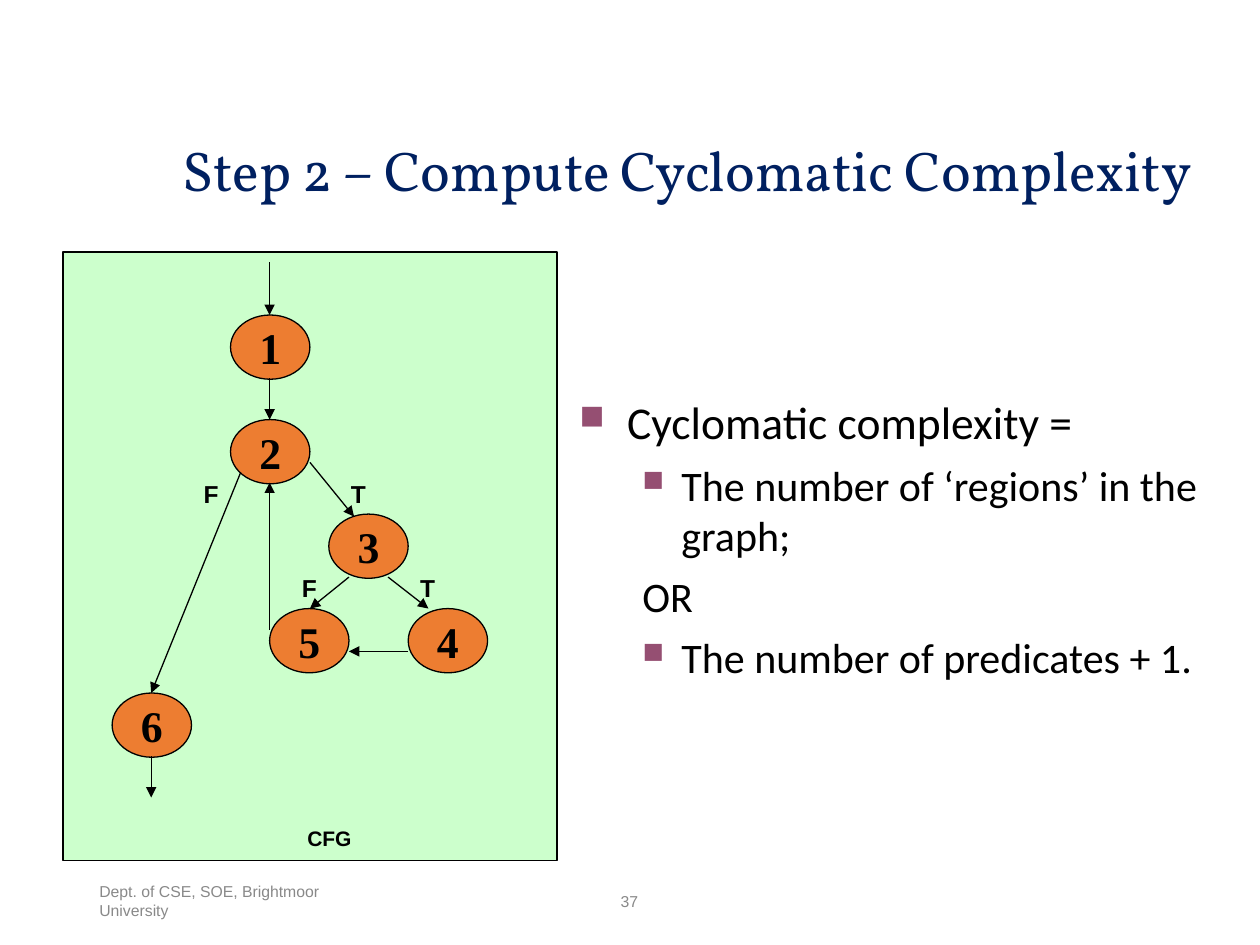
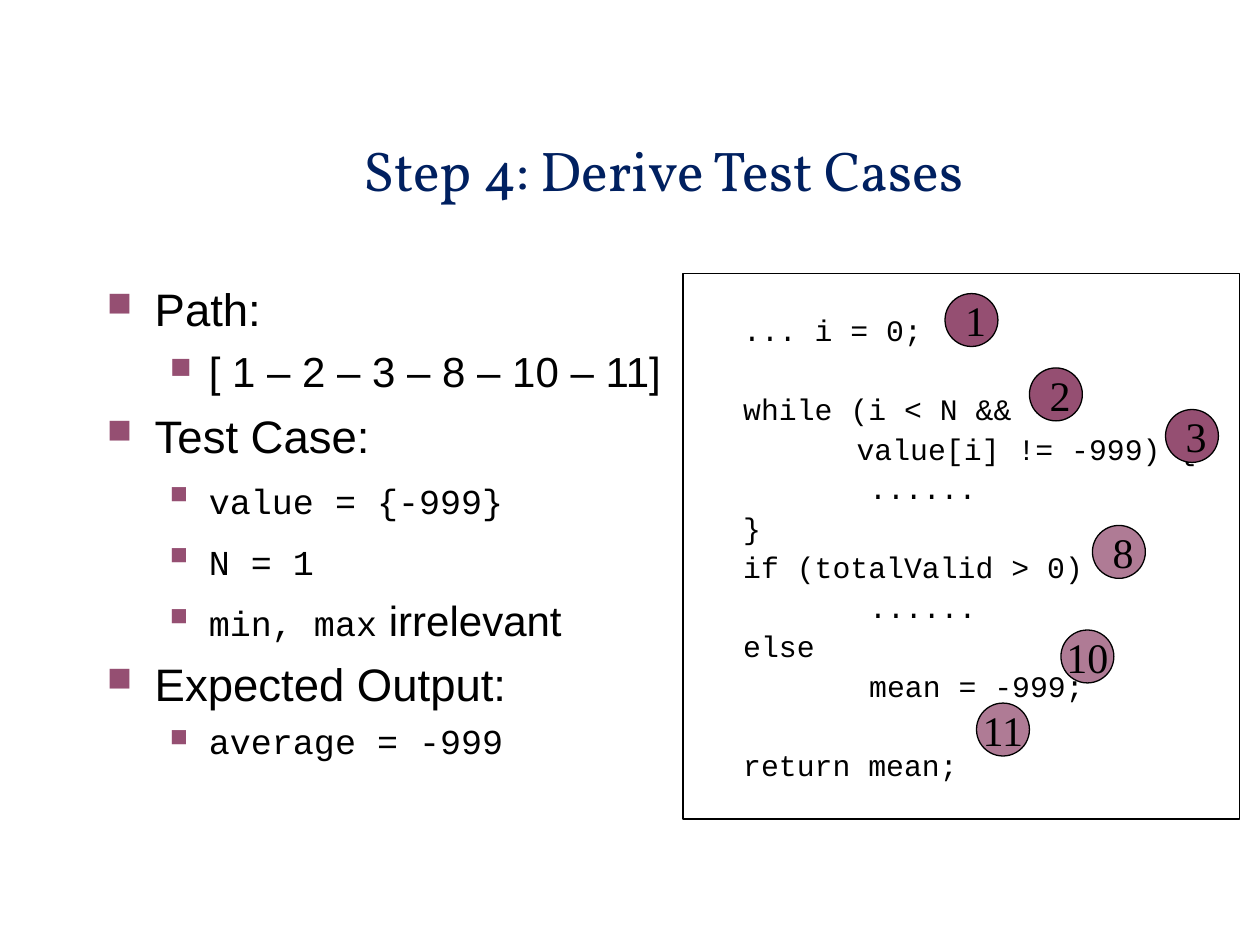
from lxml import etree
from pptx import Presentation
from pptx.dml.color import RGBColor
from pptx.enum import shapes, text
from pptx.oxml import ns
from pptx.util import Inches, Pt

COLOURS = {
    "title": "002060", "ink": "000000", "footer": "898989",
    "panel": "CCFFCC", "node": "ED7D31", "accent": "954F72",
}
CENTER = text.PP_ALIGN.CENTER
LEFT = text.PP_ALIGN.LEFT
MIDDLE = text.MSO_ANCHOR.MIDDLE
TOP = text.MSO_ANCHOR.TOP


def colour(name):
    return RGBColor.from_string(COLOURS[name])


def add_element(parent, tag, **attributes):
    return etree.SubElement(parent, ns.qn(tag), attributes)


def style_font(font, size, name, ink="ink", bold=False):
    font.size = Pt(size)
    font.name = name
    font.bold = bold
    font.color.rgb = colour(ink)


def set_frame(shape, anchor=TOP, insets=(0.1, 0.05), wrap=True):
    frame = shape.text_frame
    frame.word_wrap = wrap
    frame.vertical_anchor = anchor
    frame.margin_left = frame.margin_right = Inches(insets[0])
    frame.margin_top = frame.margin_bottom = Inches(insets[1])
    return frame


def set_indent(paragraph, margin, first_line=0):
    properties = paragraph._p.get_or_add_pPr()
    properties.set("marL", str(Inches(margin)))
    properties.set("indent", str(Inches(first_line)))
    return properties


def add_text(slide, box, words, size, font, ink="ink", bold=False,
             align=CENTER, anchor=TOP, insets=(0.1, 0.05)):
    shape = slide.shapes.add_textbox(*map(Inches, box))
    frame = set_frame(shape, anchor, insets)
    frame.text = words
    paragraph = frame.paragraphs[0]
    paragraph.alignment = align
    style_font(paragraph.runs[0].font, size, font, ink, bold)
    return paragraph


def add_panel(slide, kind, box, fill=None, width=0.75):
    shape = slide.shapes.add_shape(kind, *map(Inches, box))
    shape.shadow.inherit = False
    if fill:
        shape.fill.solid()
        shape.fill.fore_color.rgb = colour(fill)
    else:
        shape.fill.background()
    shape.line.color.rgb = colour("ink")
    shape.line.width = Pt(width)
    return shape


def add_circle(slide, box, label, fill, size, bold=False, align=CENTER):
    shape = add_panel(slide, shapes.MSO_SHAPE.OVAL, box, fill)
    frame = set_frame(shape, MIDDLE, wrap=False)
    frame.text = label
    paragraph = frame.paragraphs[0]
    paragraph.alignment = align
    style_font(paragraph.runs[0].font, size, "Times New Roman", bold=bold)
    return shape


def add_arrow(slide, start, end):
    arrow = slide.shapes.add_connector(
        shapes.MSO_CONNECTOR.STRAIGHT, *map(Inches, (*start, *end)))
    arrow.line.color.rgb = colour("ink")
    arrow.line.width = Pt(0.75)
    add_element(arrow.line._get_or_add_ln(), "a:tailEnd", type="triangle")
    add_element(arrow._element.spPr, "a:effectLst")


def add_title(slide, words, left, width):
    paragraph = add_text(slide, (left, 1.11, width, 0.6), words, 32, "Vollkorn",
                         "title", insets=(0.07, 0.03))
    paragraph.line_spacing = 0.9


def add_footer(slide, department, number):
    add_text(slide, (0.69, 6.95, 2.25, 0.4), department, 9, "Arial", "footer",
             align=LEFT, anchor=MIDDLE)
    add_text(slide, (3.31, 6.95, 3.37, 0.4), number, 9, "Arial", "footer",
             anchor=MIDDLE)


def add_bullet(paragraph, level, marked):
    margin, first_line, size = [(0.38, -0.38, 75), (0.81, -0.31, 70)][level]
    paragraph.level = level
    properties = set_indent(paragraph, margin, first_line)
    if not marked:
        add_element(properties, "a:buNone")
        return
    bullet_colour = add_element(properties, "a:buClr")
    add_element(bullet_colour, "a:srgbClr", val=COLOURS["accent"])
    add_element(properties, "a:buSzPct", val=str(size * 1000))
    add_element(properties, "a:buChar", char="■")


def add_bullets(slide, box, items, font):
    """Each item is a level, its runs as (words, is_code), and a bullet flag."""
    frame = set_frame(slide.shapes.add_textbox(*map(Inches, box)))
    for index, (level, runs, marked) in enumerate(items):
        paragraph = frame.add_paragraph() if index else frame.paragraphs[0]
        add_bullet(paragraph, level, marked)
        if index:
            all_code = all(is_code for _, is_code in runs)
            paragraph.space_before = Pt(5 if all_code else (6.5, 6)[level])
        for words, is_code in runs:
            run = paragraph.add_run()
            run.text = words
            if is_code:
                style_font(run.font, 20, "Courier New")
            else:
                style_font(run.font, (26, 24)[level], font)


def add_flow_graph(slide, left, top):
    def place(x, y):
        return left + x, top + y

    add_panel(slide, shapes.MSO_SHAPE.RECTANGLE, (left, top, 3.92, 4.83),
              "panel", 1)
    # Nodes
    nodes = {"1": (1.33, 0.5), "2": (1.33, 1.33), "3": (2.11, 2.08),
             "4": (2.74, 2.83), "5": (1.64, 2.83), "6": (0.39, 3.5)}
    for label, corner in nodes.items():
        add_circle(slide, (*place(*corner), 0.63, 0.51), label, "node", 25, True)
    # Edges
    edges = [
        ((1.64, 0.08), (1.64, 0.5)), ((1.64, 1), (1.64, 1.33)),
        ((1.96, 1.67), (2.31, 2.1)), ((2.27, 2.58), (1.96, 2.83)),
        ((2.58, 2.58), (2.9, 2.83)), ((1.41, 1.75), (0.7, 3.5)),
        ((0.7, 4), (0.7, 4.33)), ((2.74, 3.17), (2.27, 3.17)),
        ((1.64, 3), (1.64, 1.83)),
    ]
    for start, end in edges:
        add_arrow(slide, place(*start), place(*end))
    # Branch labels and caption
    branches = [("T", 2.11, 1.75), ("F", 0.94, 1.75),
                ("T", 2.66, 2.5), ("F", 1.72, 2.5)]
    for label, x, y in branches:
        add_text(slide, (*place(x, y), 0.47, 0.34), label, 14, "Arial", bold=True)
    add_text(slide, (*place(1.8, 4.5), 0.63, 0.3), "CFG", 12, "Arial", bold=True)


def add_code(slide, left, top):
    panel = add_panel(slide, shapes.MSO_SHAPE.RECTANGLE, (left, top, 4.42, 4.33))
    frame = set_frame(panel)
    frame.margin_top = Inches(0.34)
    # Indent, code, starts a new group after a gap
    lines = [
        (0.38, "... i = 0;", False),
        (0.38, "while (i < N &&", True),
        (1.28, "value[i] != -999) {", False),
        (1.38, "......", False),
        (0.38, "}", False),
        (0.38, "if (totalValid > 0)", False),
        (1.38, "......", False),
        (0.38, "else", False),
        (1.38, "mean = -999;", False),
        (0.38, "return mean;", True),
    ]
    for index, (margin, code, after_gap) in enumerate(lines):
        paragraph = frame.add_paragraph() if index else frame.paragraphs[0]
        set_indent(paragraph, margin)
        paragraph.alignment = LEFT
        paragraph.line_spacing = 0.9
        if index:
            paragraph.space_before = Pt(26.8 if after_gap else 4.2)
        run = paragraph.add_run()
        run.text = code
        style_font(run.font, 17, "Courier New")

    # Statement numbers; the later ones are lighter
    markers = [("1", 2.08, 0.16), ("2", 2.75, 0.75), ("8", 3.25, 2),
               ("10", 3, 2.83), ("11", 2.33, 3.41), ("3", 3.83, 1.08)]
    for label, x, y in markers:
        align = CENTER if len(label) > 1 else LEFT
        circle = add_circle(slide, (left + x, top + y, 0.42, 0.42), label,
                            "accent", 24, align=align)
        if int(label) >= 8:
            fill = circle._element.spPr.find(ns.qn("a:solidFill"))
            add_element(fill[0], "a:alpha", val="75000")


def build_complexity_slide(slide):
    add_title(slide, "Step 2 – Compute Cyclomatic Complexity", 1.25, 8.41)
    add_footer(slide, "Dept. of CSE, SOE, Brightmoor University", "37")
    add_flow_graph(slide, 0.5, 2)
    add_bullets(slide, (4.5, 3.08, 5.5, 2.75), [
        (0, [("Cyclomatic complexity =", False)], True),
        (1, [("The number of ‘regions’ in the graph;", False)], True),
        (1, [("OR", False)], False),
        (1, [("The number of predicates + 1.", False)], True),
    ], "Calibri")


def build_test_case_slide(slide):
    add_title(slide, "Step 4: Derive Test Cases", 2.61, 5.31)
    add_bullets(slide, (0.75, 2.18, 4.67, 4), [
        (0, [("Path:", False)], True),
        (1, [("[ 1 – 2 – 3 – 8 – 10 – 11]", False)], True),
        (0, [("Test Case:", False)], True),
        (1, [("value = {-999}", True), (" ", False)], True),
        (1, [("N = 1", True), (" ", False)], True),
        (1, [("min, max", True), (" irrelevant", False)], True),
        (0, [("Expected Output:", False)], True),
        (1, [("average = -999", True)], True),
    ], "Arial")
    add_code(slide, 5.42, 2.17)


def main():
    presentation = Presentation()
    presentation.slide_width = Inches(10)
    presentation.slide_height = Inches(7.5)
    for build in (build_complexity_slide, build_test_case_slide):
        build(presentation.slides.add_slide(presentation.slide_layouts[6]))
    presentation.save("out.pptx")


if __name__ == "__main__":
    main()
